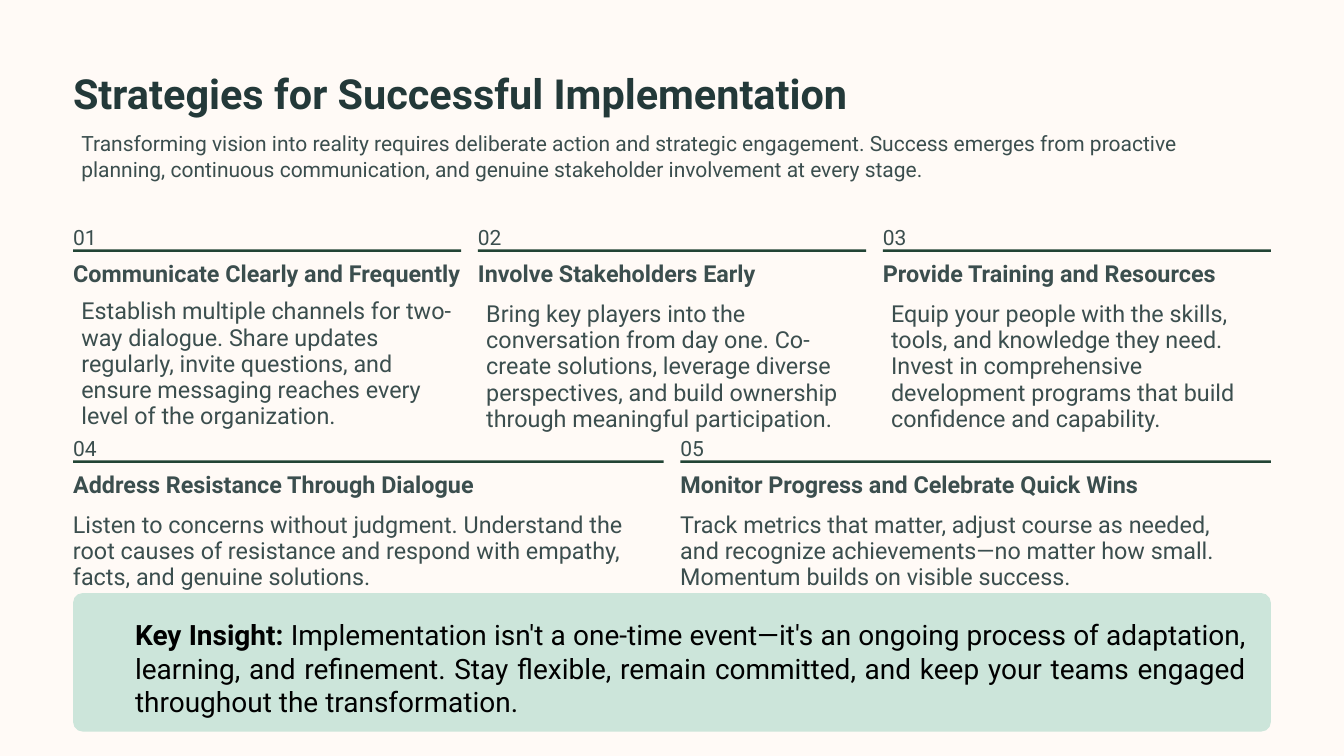
"""Build the slide on strategies for successful implementation."""
import pptx
import pptx.dml.color
import pptx.enum.shapes
import pptx.enum.text
import pptx.util

SHAPES = pptx.enum.shapes.MSO_SHAPE
ALIGN = pptx.enum.text.PP_ALIGN

STRATEGIES = [
    [
        ("Communicate Clearly and Frequently",
         "Establish multiple channels for two-way dialogue. Share updates regularly, "
         "invite questions, and ensure messaging reaches every level of the organization.",
         (0, -0.03)),
        ("Involve Stakeholders Early",
         "Bring key players into the conversation from day one. Co-create solutions, "
         "leverage diverse perspectives, and build ownership through meaningful participation.",
         (0, 0)),
        ("Provide Training and Resources",
         "Equip your people with the skills, tools, and knowledge they need. Invest in "
         "comprehensive development programs that build confidence and capability.",
         (0, 0)),
    ],
    [
        ("Address Resistance Through Dialogue",
         "Listen to concerns without judgment. Understand the root causes of resistance "
         "and respond with empathy, facts, and genuine solutions.",
         (-0.1, 0)),
        ("Monitor Progress and Celebrate Quick Wins",
         "Track metrics that matter, adjust course as needed, and recognize "
         "achievements—no matter how small. Momentum builds on visible success.",
         (-0.1, 0)),
    ],
]


def color(value):
    return pptx.dml.color.RGBColor.from_string(value)


def write(box, *parts, size=20, ink="3B4E4E", bold=False, leading=None,
          align=ALIGN.LEFT, padded=False):
    frame = box.text_frame
    frame.word_wrap = True
    frame.margin_left = frame.margin_right = pptx.util.Inches(0.1 if padded else 0)
    frame.margin_top = frame.margin_bottom = pptx.util.Inches(0.04 if padded else 0)
    para = frame.paragraphs[0]
    para.alignment = align
    if leading:
        para.line_spacing = pptx.util.Pt(leading)
    for index, part in enumerate(parts):
        span = para.add_run()
        span.text = part
        span.font.name = "Roboto"
        span.font.size = pptx.util.Pt(size)
        span.font.bold = bold and index == 0
        span.font.color.rgb = color(ink)


class Page:
    left, width, gap, columns = 0.87, 14.26, 0.2, 6
    top, row_step = 2.66, 2.51

    def __init__(self, deck):
        self.slide = deck.slides.add_slide(deck.slide_layouts[6])
        self.block((0, 0, 16, 9), "FFFAF6")

    def span(self, start, count):
        unit = (self.width - self.gap * (self.columns - 1)) / self.columns
        step = unit + self.gap
        return self.left + start * step, count * step - self.gap

    def text(self, place, *parts, **style):
        box = self.slide.shapes.add_textbox(*map(pptx.util.Inches, place))
        write(box, *parts, **style)

    def block(self, place, fill, shape=SHAPES.RECTANGLE, corner=None):
        block = self.slide.shapes.add_shape(shape, *map(pptx.util.Inches, place))
        block.shadow.inherit = False
        block.fill.solid()
        block.fill.fore_color.rgb = color(fill)
        block.line.fill.background()
        if corner:
            block.adjustments[0] = corner

    def strategy(self, number, row, start, count, heading, body, nudge):
        left, width = self.span(start, count)
        top = self.top + row * self.row_step
        right, down = nudge
        self.text((left, top, 0.4, 0.25), f"{number:02}", size=18, leading=22.5)
        self.block((left, top + 0.31, width, 0.03), "224435")
        self.text((left, top + 0.45, width, 0.31), heading, bold=True, leading=22)
        self.text((left + right, top + 0.88 + down, width, 1.27), body,
                  leading=22.5, padded=True)


def main():
    deck = pptx.Presentation()
    deck.slide_width = pptx.util.Inches(16)
    deck.slide_height = pptx.util.Inches(9)
    page = Page(deck)
    page.text((page.left, 0.78, page.width, 0.62), "Strategies for Successful Implementation",
              size=35.5, ink="233939", bold=True, leading=44.5)
    page.text((page.left, 1.5, page.width, 0.63),
              "Transforming vision into reality requires deliberate action and strategic "
              "engagement. Success emerges from proactive planning, continuous communication, "
              "and genuine stakeholder involvement at every stage.",
              size=18, leading=22.5, padded=True)
    number = 0
    for row, strategies in enumerate(STRATEGIES):
        count = page.columns // len(strategies)
        for index, strategy in enumerate(strategies):
            number += 1
            page.strategy(number, row, index * count, count, *strategy)
    page.block((page.left, 7.06, page.width, 1.65), "CCE5DA",
               SHAPES.ROUNDED_RECTANGLE, corner=0.07)
    page.text((1.51, 7.31, 13.42, 1.25), "Key Insight:",
              " Implementation isn't a one-time event—it's an ongoing process of adaptation, "
              "learning, and refinement. Stay flexible, remain committed, and keep your teams "
              "engaged throughout the transformation.",
              size=24, ink="000000", bold=True, align=ALIGN.JUSTIFY, padded=True)
    deck.save("out.pptx")


if __name__ == "__main__":
    main()
